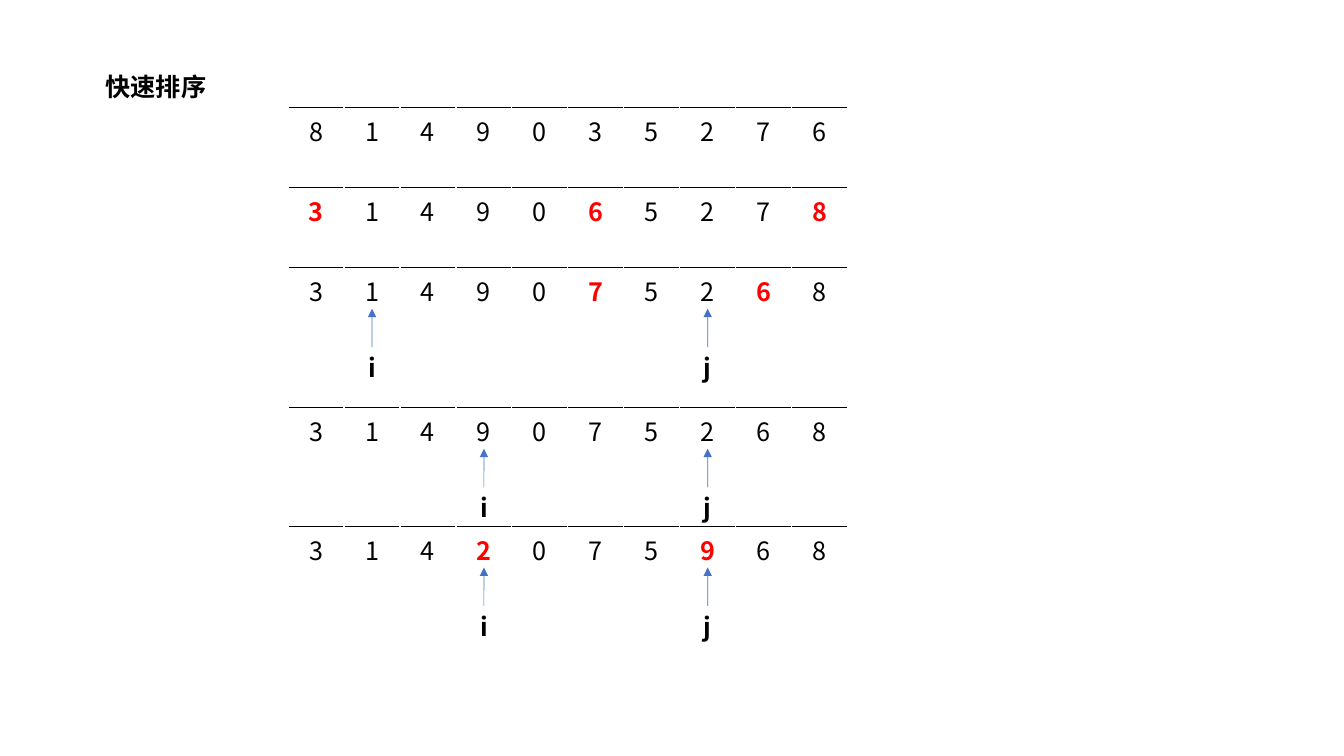
from dataclasses import dataclass

from lxml import etree
from pptx import Presentation
from pptx import util as u
from pptx.dml.color import RGBColor
from pptx.enum import shapes, text
from pptx.oxml import ns


@dataclass(frozen=True)
class Theme:
    font: str = "Noto Sans CJK SC"
    size: int = 18
    ink: str = "000000"
    swapped: str = "FF0000"
    arrow: str = "4472C4"
    paper: str = "FFFFFF"
    rule_width: float = 1
    arrow_width: float = 0.5


def add_xml(parent, tag, **attributes):
    return etree.SubElement(parent, ns.qn(tag), attributes)


class SortSlide:
    row_left, cell_width, cell_height = 7.26, 1.41, 1.04
    label_width, label_height, label_drop = 0.69, 1.02, 2.01

    def __init__(self, slide, theme):
        self.slide = slide
        self.theme = theme

    def add_words(self, frame, words, color, bold, align=text.PP_ALIGN.LEFT):
        paragraph = frame.paragraphs[0]
        paragraph.alignment = align
        run = paragraph.add_run()
        run.text = words
        formats = {"name": self.theme.font, "size": u.Pt(self.theme.size), "bold": bold}
        for name, value in formats.items():
            setattr(run.font, name, value)
        run.font.color.rgb = RGBColor.from_string(color)
        add_xml(run.font._element, "a:ea", typeface=self.theme.font)

    def label(self, words, left, top, width, height, wrap):
        box = self.slide.shapes.add_textbox(*map(u.Cm, (left, top, width, height)))
        formats = {"word_wrap": wrap, "auto_size": text.MSO_AUTO_SIZE.SHAPE_TO_FIT_TEXT}
        for name, value in formats.items():
            setattr(box.text_frame, name, value)
        self.add_words(box.text_frame, words, self.theme.ink, True)
        return box

    def top_rule(self, cell):
        properties = cell._tc.get_or_add_tcPr()
        rule = add_xml(properties, "a:lnT", w=str(u.Pt(self.theme.rule_width)))
        add_xml(add_xml(rule, "a:solidFill"), "a:srgbClr", val=self.theme.ink)
        properties.insert(0, rule)

    def number_row(self, numbers, top, swapped):
        size = (self.cell_width * len(numbers), self.cell_height)
        row = self.slide.shapes.add_table(
            1, len(numbers), *map(u.Cm, (self.row_left, top, *size))
        ).table
        for name in ("first_row", "horz_banding"):
            setattr(row, name, False)
        for index, number in enumerate(numbers):
            row.columns[index].width = u.Cm(self.cell_width)
            cell = row.cell(0, index)
            cell.fill.background()
            self.top_rule(cell)
            moved = index in swapped
            color = self.theme.swapped if moved else self.theme.ink
            self.add_words(cell.text_frame, number, color, moved, text.PP_ALIGN.CENTER)

    def pointer(self, name, index, row_top):
        center = self.row_left + (index + 0.5) * self.cell_width
        label_top = row_top + self.label_drop
        label = self.label(name, center - self.label_width / 2, label_top,
                           self.label_width, self.label_height, False)
        label.fill.solid()
        label.fill.fore_color.rgb = RGBColor.from_string(self.theme.paper)
        arrow = self.slide.shapes.add_connector(
            shapes.MSO_CONNECTOR.STRAIGHT,
            *map(u.Cm, (center, label_top, center, row_top + self.cell_height)),
        )
        arrow.begin_connect(label, 0)
        arrow.line.width = u.Pt(self.theme.arrow_width)
        arrow.line.color.rgb = RGBColor.from_string(self.theme.arrow)
        add_xml(arrow.line._get_or_add_ln(), "a:tailEnd", type="triangle")
        add_xml(arrow._element.spPr, "a:effectLst")


STEPS = [
    (2.7, "8149035276", (), {}),
    (4.72, "3149065278", (0, 5, 9), {}),
    (6.74, "3149075268", (5, 8), {"i": 1, "j": 7}),
    (10.27, "3149075268", (), {"i": 3, "j": 7}),
    (13.26, "3142075968", (3, 7), {"i": 3, "j": 7}),
]


def main():
    deck = Presentation()
    deck.slide_width, deck.slide_height = u.Cm(33.87), u.Cm(19.05)
    sort = SortSlide(deck.slides.add_slide(deck.slide_layouts[6]), Theme())
    sort.label("快速排序", 2.41, 1.68, 3.18, 1.02, True)
    for top, numbers, swapped, pointers in STEPS:
        sort.number_row(numbers, top, swapped)
        for name, index in pointers.items():
            sort.pointer(name, index, top)
    deck.save("out.pptx")


if __name__ == "__main__":
    main()
